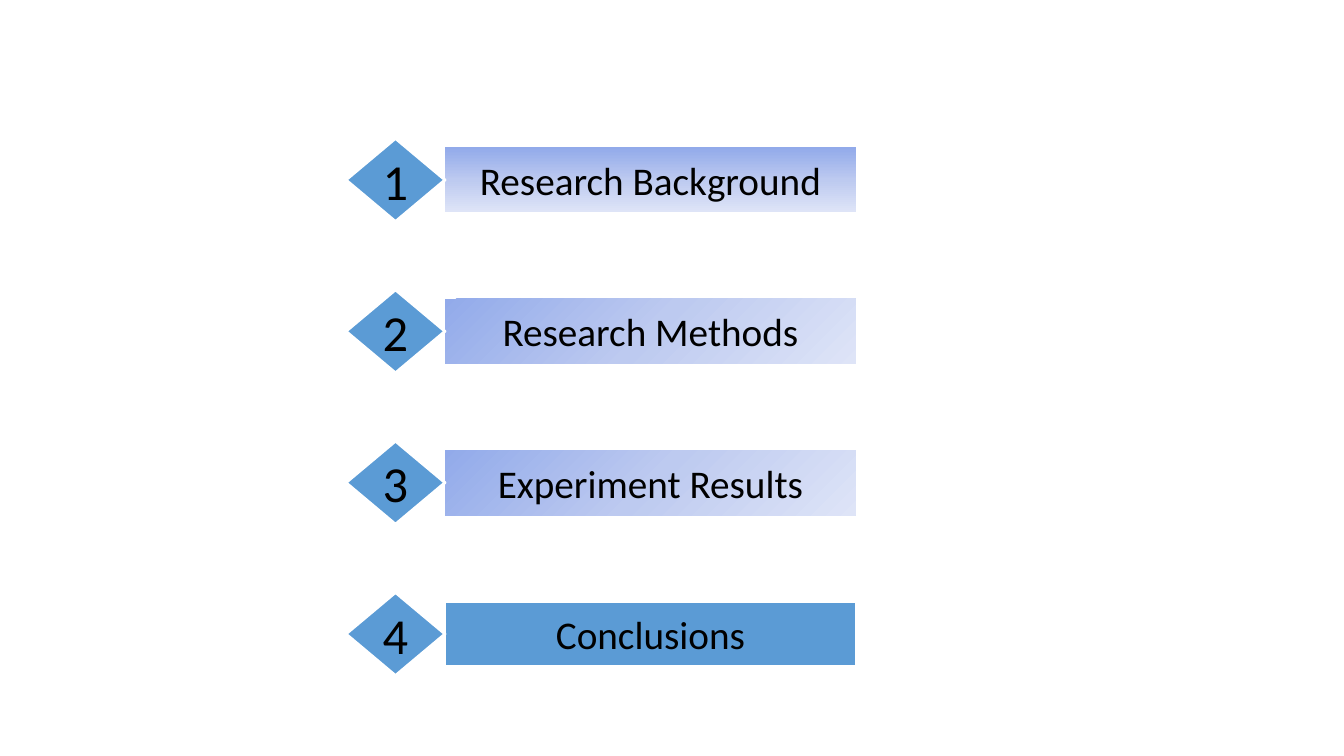
"""Build an agenda slide with four numbered section bars."""
from copy import deepcopy

from pptx import Presentation
from pptx import util as u
from pptx.dml.color import RGBColor
from pptx.enum import shapes, text
from pptx.oxml.ns import qn

PX = 914400 / 134.4
SECTIONS = [
    ("Research Background", 90),
    ("Research Methods", 45),
    ("Experiment Results", 45),
    ("Conclusions", None),
]
GRADIENT = [(0, "92AAEA"), (0.5, "BDCAF0"), (1, "DEE4F7")]
BLUE, WHITE, BLACK = "5B9BD5", "FFFFFF", "000000"
PAGE_SIZE = (1344, 756)
FIRST_CENTER, LAST_CENTER = 180, 634
BAR = dict(left=445, width=411, height=65)
DIAMOND = dict(left=346, width=99, height=83)


def px(value):
    return u.Emu(round(value * PX))


def color(value):
    return RGBColor.from_string(value)


def fill_gradient(box, angle):
    box.fill.gradient()
    stop_list = box._element.spPr.find(".//" + qn("a:gsLst"))
    stop_list.insert(1, deepcopy(stop_list[0]))
    for stop, (position, shade) in zip(box.fill.gradient_stops, GRADIENT):
        stop.position = position
        stop.color.rgb = color(shade)
    box.fill.gradient_angle = 360 - angle
    box.line.fill.background()


def fill_solid(box):
    box.fill.solid()
    box.fill.fore_color.rgb = color(BLUE)
    box.line.color.rgb = color(WHITE)
    box.line.width = u.Pt(1.5)


def write(box, words, size, font="Calibri", shade=BLACK):
    frame = box.text_frame
    frame.word_wrap = True
    frame.vertical_anchor = text.MSO_ANCHOR.MIDDLE
    frame.margin_left = frame.margin_right = u.Inches(0.07)
    frame.margin_top = frame.margin_bottom = u.Inches(0.04)
    para = frame.paragraphs[0]
    para.alignment = text.PP_ALIGN.CENTER
    span = para.add_run()
    span.text = words
    span.font.name = font
    span.font.size = u.Pt(size)
    span.font.color.rgb = color(shade)


def add_box(page, kind, center, left, width, height, angle=None):
    box = page.shapes.add_shape(
        kind, px(left), px(center - height / 2), px(width), px(height))
    box.shadow.inherit = False
    if angle is None:
        fill_solid(box)
    else:
        fill_gradient(box, angle)
    return box


def main():
    deck = Presentation()
    deck.slide_width, deck.slide_height = map(px, PAGE_SIZE)
    page = deck.slides.add_slide(deck.slide_layouts[6])
    pitch = (LAST_CENTER - FIRST_CENTER) / (len(SECTIONS) - 1)
    for index, (title, angle) in enumerate(SECTIONS):
        center = FIRST_CENTER + index * pitch
        bar = add_box(page, shapes.MSO_SHAPE.RECTANGLE, center, angle=angle, **BAR)
        write(bar, title, size=21)
        diamond = add_box(page, shapes.MSO_SHAPE.DIAMOND, center, **DIAMOND)
        write(diamond, str(index + 1), size=27)
    deck.save("out.pptx")


if __name__ == "__main__":
    main()
